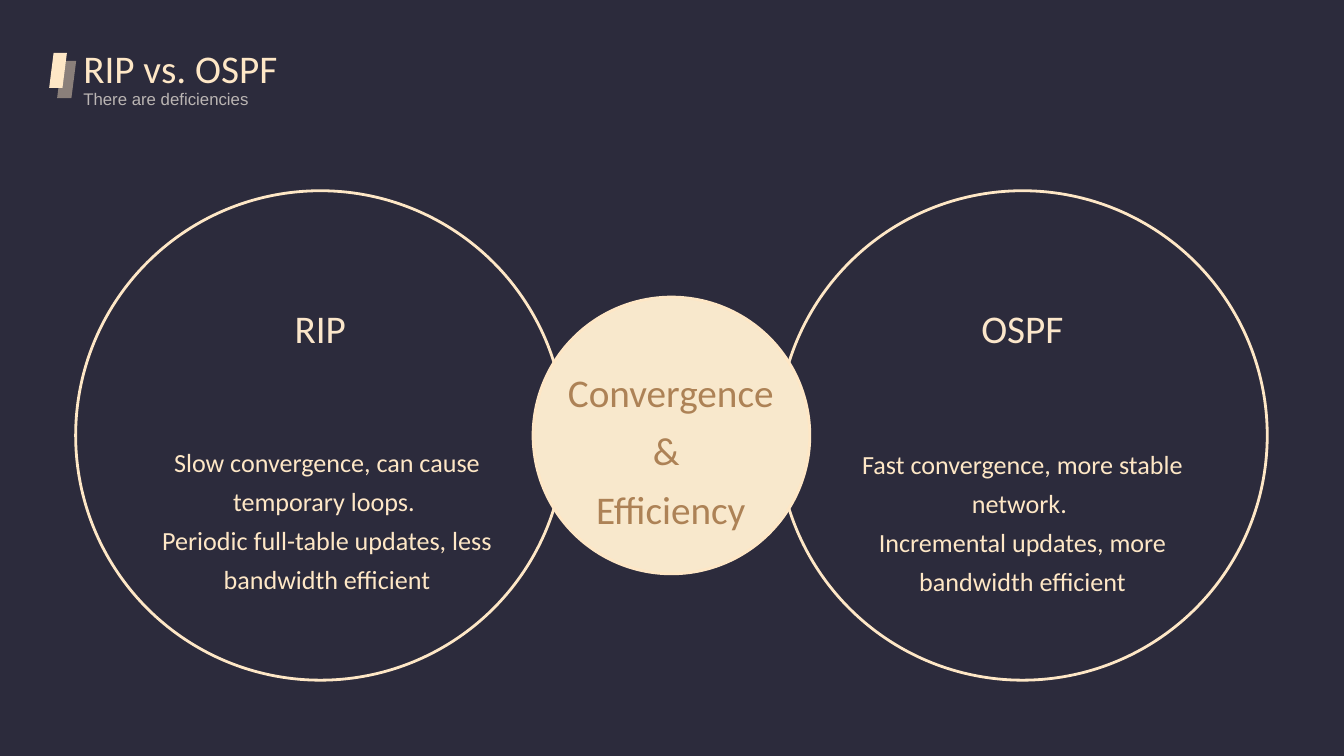
from lxml.etree import SubElement
from pptx import Presentation
from pptx.dml.color import RGBColor
from pptx.enum.shapes import MSO_SHAPE
from pptx.enum.text import PP_ALIGN
from pptx.oxml.ns import qn
from pptx.util import Cm, Pt

HUES = {
    "night": "2C2B3C", "cream": "FEE7C6", "disc": "F8E8CC",
    "head": "FBE6CA", "brown": "AD8256", "mist": "F8F1E7",
}


def paint(fill, hue, alpha=100):
    """Make a fill solid in a named colour, with its opacity in percent."""
    fill.solid()
    fill.fore_color.rgb = RGBColor.from_string(HUES[hue])
    if alpha < 100:
        for node in fill._xPr.iter(qn("a:srgbClr")):
            SubElement(node, qn("a:alpha"), val=str(alpha * 1000))


def write(frame, text, size=42, hue="cream", font="Calibri", alpha=100, align=PP_ALIGN.CENTER):
    """Fill a frame with one paragraph for each line of text."""
    frame.word_wrap = True
    frame.margin_left = frame.margin_right = frame.margin_top = frame.margin_bottom = 0
    for i, line in enumerate(text.split("\n")):
        para = frame.add_paragraph() if i else frame.paragraphs[0]
        para.alignment = align
        para.line_spacing = Pt(size * 1.5)
        run = para.add_run()
        run.text = line
        run.font.size = Pt(size)
        run.font.name = font
        paint(run.font.fill, hue, alpha)


class Deck:
    """Hold the style and the current slide."""

    def __init__(self):
        """Start a wide deck with one dark blank slide."""
        self.prs = Presentation()
        self.prs.slide_width = Cm(50.8)
        self.prs.slide_height = Cm(50.8) * 9 // 16
        self.slide = self.prs.slides.add_slide(self.prs.slide_layouts[6])
        paint(self.slide.background.fill, "night")

    def bar(self, x, y, wide, high, alpha=100):
        """Draw a slanted bar."""
        bar = self.slide.shapes.add_shape(
            MSO_SHAPE.PARALLELOGRAM, Cm(x), Cm(y), Cm(wide), Cm(high))
        bar.adjustments[0] = 0.25
        bar.shadow.inherit = False
        paint(bar.fill, "cream", alpha)
        bar.line.fill.background()

    def ring(self, x, y, size, hue=None):
        """Draw a circle round a centre, filled if a colour is given."""
        ring = self.slide.shapes.add_shape(
            MSO_SHAPE.OVAL, Cm(x - size / 2), Cm(y - size / 2), Cm(size), Cm(size))
        ring.shadow.inherit = False
        if hue:
            paint(ring.fill, hue)
        else:
            ring.fill.background()
        paint(ring.line.fill, "cream")
        ring.line.width = Pt(3)

    def label(self, x, y, wide, high, text, **style):
        """Place a text box."""
        box = self.slide.shapes.add_textbox(Cm(x), Cm(y), Cm(wide), Cm(high))
        write(box.text_frame, text, **style)


def main():
    """Build the comparison slide."""
    deck = Deck()
    deck.bar(1.86, 2, 0.67, 1.32)
    deck.bar(2.16, 2.3, 0.72, 1.41, alpha=45)

    mid, row, gap = 25.38, 16.46, 13.27
    for x in (mid - gap, mid + gap):
        deck.ring(x, row, 18.5)
    deck.ring(mid, row, 10.46, hue="disc")

    left = PP_ALIGN.LEFT
    deck.label(3.15, 3.15, 12.04, 0.97, "There are deficiencies",
               size=18, hue="mist", font="Arial", alpha=70, align=left)
    deck.label(3.15, 1.24, 12.04, 2.13, "RIP vs. OSPF", align=left)

    wide = 14.55
    sides = (
        (4.83, 5.08, 16.56, "RIP",
         "Slow convergence, can cause temporary loops. \n"
         "Periodic full-table updates, less bandwidth efficient"),
        (31.37, 31.37, 16.64, "OSPF",
         "Fast convergence, more stable network. \n"
         "Incremental updates, more bandwidth efficient"),
    )
    for x, inset, y, head, body in sides:
        deck.label(x, 11.07, wide, 2.13, head, hue="head")
        deck.label(inset, y, wide, 5.87, body, size=28)
    deck.label(18.08, 13.46, wide, 6.58, "Convergence\n& \nEfficiency", hue="brown")

    deck.prs.save("out.pptx")


if __name__ == "__main__":
    main()
